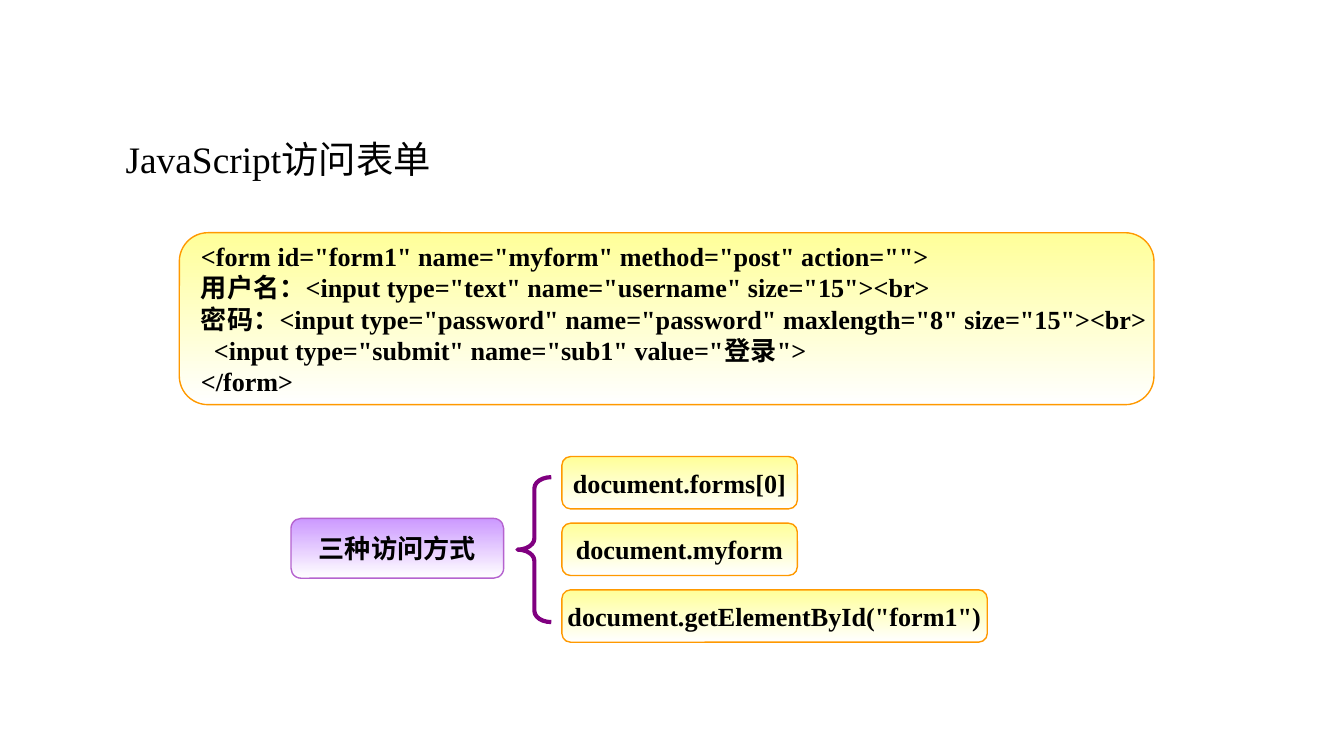
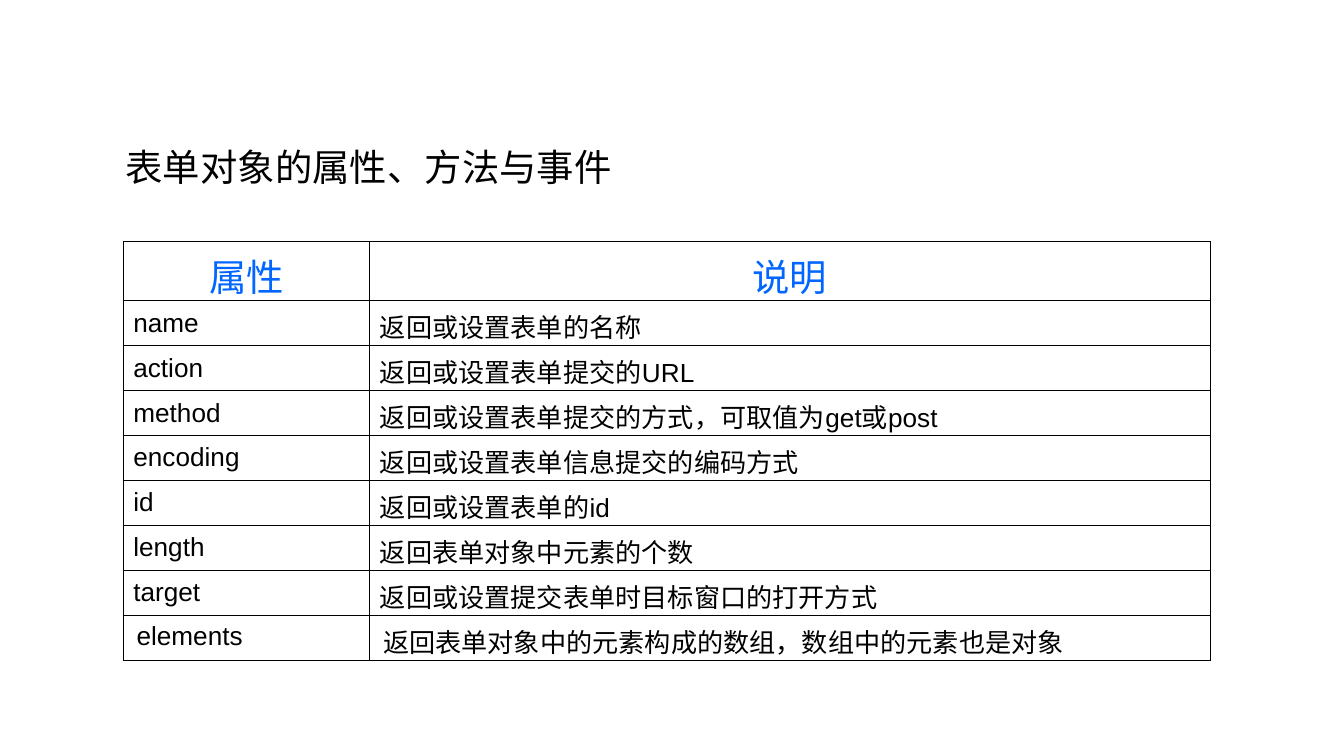
from lxml.etree import SubElement
from pptx import Presentation
from pptx.dml.color import RGBColor
from pptx.enum.shapes import MSO_SHAPE as Preset
from pptx.enum.text import MSO_ANCHOR as Anchor, MSO_AUTO_SIZE as AutoSize, PP_ALIGN as Align
from pptx.oxml.ns import qn
from pptx.util import Cm, Pt

COLORS = {
    "text": "000000",
    "heading": "0066FF",
    "paper": "FFFFFF",
    "yellow": "FFFF99",
    "orange": "FF9900",
    "lilac": "CC99FF",
    "violet": "B563CF",
    "brace": "800080",
}
SERIF, SANS = "Times New Roman", "Arial"
TITLE_SIZE, BODY_SIZE = 20, 14
OUTER_RULE, INNER_RULE = 0.75, 0.45

FORM_CODE = [
    '<form id="form1" name="myform" method="post" action="">',
    '用户名：<input type="text" name="username" size="15"><br>',
    '密码：<input type="password" name="password" maxlength="8" size="15"><br>',
    '  <input type="submit" name="sub1" value="登录">',
    '</form>',
]
ACCESS_WAYS = [
    ("document.forms[0]", 4.45),
    ("document.myform", 4.45),
    ('document.getElementById("form1")', 8.04),
]
FORM_PROPERTIES = [
    ("属性", "说明"),
    ("name", "返回或设置表单的名称"),
    ("action", "返回或设置表单提交的URL"),
    ("method", "返回或设置表单提交的方式，可取值为get或post"),
    ("encoding", "返回或设置表单信息提交的编码方式"),
    ("id", "返回或设置表单的id"),
    ("length", "返回表单对象中元素的个数"),
    ("target", "返回或设置提交表单时目标窗口的打开方式"),
    ("elements", "返回表单对象中的元素构成的数组，数组中的元素也是对象"),
]


def rgb(color):
    return RGBColor.from_string(COLORS[color])


class Deck:
    """Holds the presentation, its style and the slide being filled; lengths are in cm."""

    def __init__(self):
        self.prs = Presentation()
        self.prs.slide_width, self.prs.slide_height = Cm(25.4), Cm(14.29)
        self.slide = None

    def add_slide(self, title, top, width):
        self.slide = self.prs.slides.add_slide(self.prs.slide_layouts[5])
        heading = self.slide.shapes.title
        heading.left, heading.top = Cm(2.12), Cm(top)
        heading.width, heading.height = Cm(width), Cm(1.11)
        frame = heading.text_frame
        frame.word_wrap = True
        frame.auto_size = AutoSize.SHAPE_TO_FIT_TEXT
        frame.vertical_anchor = Anchor.TOP
        self.add_text(frame.paragraphs[0], title, size=TITLE_SIZE)

    def add_text(self, paragraph, text, align=Align.LEFT, size=BODY_SIZE,
                 font=SERIF, bold=False, color="text"):
        paragraph.alignment = align
        run = paragraph.add_run()
        run.text = text
        run.font.name, run.font.size, run.font.bold = font, Pt(size), bold
        run.font.color.rgb = rgb(color)

    def shape(self, preset, left, top, width, height, line, weight):
        shape = self.slide.shapes.add_shape(preset, Cm(left), Cm(top), Cm(width), Cm(height))
        shape.shadow.inherit = False
        shape.line.color.rgb = rgb(line)
        shape.line.width = Pt(weight)
        return shape

    def box(self, left, top, width, height, lines, align=Align.CENTER,
            tint="yellow", line="orange"):
        """Rounded box that fades from its tint down to white."""
        box = self.shape(Preset.ROUNDED_RECTANGLE, left, top, width, height, line, 0.75)
        box.fill.gradient()
        box.fill.gradient_angle = 270
        for stop, color in zip(box.fill.gradient_stops, (tint, "paper")):
            stop.color.rgb = rgb(color)
        frame = box.text_frame
        frame.word_wrap = False
        frame.vertical_anchor = Anchor.MIDDLE
        for index, text in enumerate(lines):
            paragraph = frame.add_paragraph() if index else frame.paragraphs[0]
            self.add_text(paragraph, text, align, bold=True)

    def brace(self, left, top, width, height):
        brace = self.shape(Preset.LEFT_BRACE, left, top, width, height, "brace", 2.25)
        brace.adjustments[0] = 0.33
        brace.fill.background()

    def table(self, left, top, widths, heights, rows):
        frame = self.slide.shapes.add_table(
            len(rows), len(widths), Cm(left), Cm(top), Cm(sum(widths)), Cm(sum(heights)))
        table = frame.table
        table.first_row = table.horz_banding = False
        for column, width in zip(table.columns, widths):
            column.width = Cm(width)
        for row, height in zip(table.rows, heights):
            row.height = Cm(height)
        last_row, last_column = len(rows) - 1, len(widths) - 1
        for r, texts in enumerate(rows):
            for c, text in enumerate(texts):
                cell = table.cell(r, c)
                self.cell(cell, text, r == 0, r == last_row)
                self.borders(cell, {"L": c == 0, "R": c == last_column,
                                    "T": r == 0, "B": r == last_row})

    def cell(self, cell, text, is_header, is_last):
        cell.fill.background()
        cell.vertical_anchor = Anchor.TOP if is_last else Anchor.MIDDLE
        cell.margin_left = cell.margin_right = Cm(0.25 if is_header or is_last else 0.19)
        paragraph = cell.text_frame.paragraphs[0]
        if is_header:
            self.add_text(paragraph, text, Align.CENTER, TITLE_SIZE, SANS, color="heading")
        else:
            self.add_text(paragraph, text, Align.JUSTIFY, font=SANS)
            paragraph.space_after = Pt(1.2)

    def borders(self, cell, outer_sides):
        properties = cell._tc.get_or_add_tcPr()
        for index, (side, is_outer) in enumerate(outer_sides.items()):
            weight = OUTER_RULE if is_outer else INNER_RULE
            border = SubElement(properties, qn(f"a:ln{side}"), w=str(Pt(weight)))
            fill = SubElement(border, qn("a:solidFill"))
            SubElement(fill, qn("a:srgbClr"), val=COLORS["text"])
            properties.insert(index, border)


def add_form_access(deck):
    deck.add_slide("JavaScript访问表单", top=2.44, width=9.1)
    deck.box(3.39, 4.4, 18.42, 3.25, FORM_CODE, Align.LEFT)
    deck.box(5.5, 9.8, 4.02, 1.13, ["三种访问方式"], tint="lilac", line="violet")
    for index, (expression, width) in enumerate(ACCESS_WAYS):
        deck.box(10.62, 8.63 + 1.26 * index, width, 0.99, [expression])
    deck.brace(9.78, 9.02, 0.64, 2.74)


def add_form_properties(deck):
    deck.add_slide("表单对象的属性、方法与事件", top=2.59, width=12.07)
    heights = [1.11] + [0.85] * (len(FORM_PROPERTIES) - 1)
    deck.table(2.33, 4.57, [4.66, 15.88], heights, FORM_PROPERTIES)


def main():
    deck = Deck()
    add_form_access(deck)
    add_form_properties(deck)
    deck.prs.save("out.pptx")


if __name__ == "__main__":
    main()
